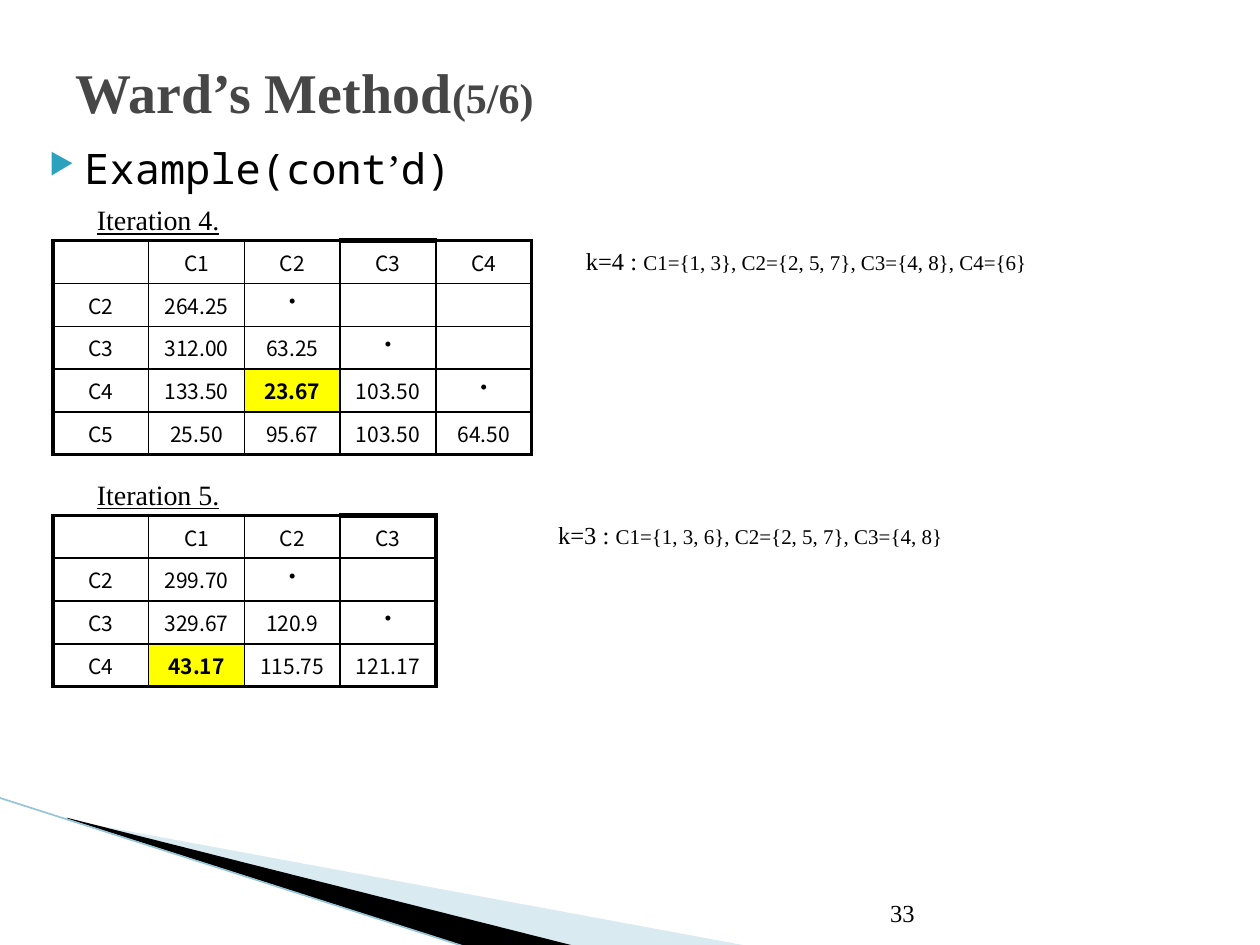
import pptx
import pptx.util
import pptx.dml.color
import pptx.enum.shapes
import pptx.enum.text
import pptx.oxml
import pptx.oxml.ns
from dataclasses import dataclass
from lxml import etree

Inches, Pt = pptx.util.Inches, pptx.util.Pt
ALIGN, ANCHOR = pptx.enum.text.PP_ALIGN, pptx.enum.text.MSO_ANCHOR
qn = pptx.oxml.ns.qn


@dataclass(frozen=True)
class Theme:
    serif: str = "Times New Roman"
    mono: str = "Noto Sans Mono"
    table: str = "Noto Sans CJK KR"
    black: str = "000000"
    title: str = "464646"
    accent: str = "2DA2BF"
    pale: str = "A0CBDC"
    line: str = "97C5D8"
    highlight: str = "FFFF00"
    title_size: int = 32
    heading_size: int = 24
    label_size: int = 16
    note_size: int = 14
    small_size: int = 12


T = Theme()


def rgb(value):
    return pptx.dml.color.RGBColor.from_string(value)


def add_run(p, text, size, font=T.serif, color=T.black, bold=False, underline=False):
    r = p.add_run()
    r.text = text
    r.font.name, r.font.size = font, Pt(size)
    r.font.bold, r.font.underline = bold, underline
    r.font.color.rgb = rgb(color)


def add_text(s, left, top, width, height, align=ALIGN.LEFT, anchor=ANCHOR.TOP):
    """Add a box without insets and return its first paragraph."""
    tf = s.shapes.add_textbox(Inches(left), Inches(top), Inches(width), Inches(height)).text_frame
    tf.word_wrap = True
    tf.vertical_anchor = anchor
    tf.margin_left = tf.margin_right = tf.margin_top = tf.margin_bottom = 0
    p = tf.paragraphs[0]
    p.alignment = align
    return p


def add_bullet(p, char, color, percent, indent, hanging):
    pPr = p._p.get_or_add_pPr()
    pPr.set("marL", str(Inches(indent)))
    pPr.set("indent", str(-Inches(hanging)))
    clr = etree.SubElement(pPr, qn("a:buClr"))
    etree.SubElement(clr, qn("a:srgbClr"), val=color)
    etree.SubElement(pPr, qn("a:buSzPct"), val=str(percent * 1000))
    etree.SubElement(pPr, qn("a:buChar"), char=char)


def add_wedge(s, points, color, opacity=None):
    pts = [(Inches(x), Inches(y)) for x, y in points]
    builder = s.shapes.build_freeform(*pts[0], scale=1.0)
    builder.add_line_segments(pts[1:], close=True)
    sp = builder.convert_to_shape()
    sp.shadow.inherit = False
    sp.fill.solid()
    sp.fill.fore_color.rgb = rgb(color)
    sp.line.fill.background()
    if opacity is not None:
        clr = sp.fill._xPr.find(".//" + qn("a:srgbClr"))
        etree.SubElement(clr, qn("a:alpha"), val=str(opacity * 1000))


def add_line(s, x1, y1, x2, y2, color, width):
    cx = s.shapes.add_connector(pptx.enum.shapes.MSO_CONNECTOR.STRAIGHT,
                                Inches(x1), Inches(y1), Inches(x2), Inches(y2))
    cx.line.color.rgb = rgb(color)
    cx.line.width = Pt(width)
    etree.SubElement(cx._element.spPr, qn("a:effectLst"))


def set_borders(cell, widths):
    tcPr = cell._tc.get_or_add_tcPr()
    for side in "LRTB":
        ln = etree.SubElement(tcPr, qn("a:ln" + side), w=str(Pt(widths[side])))
        fill = etree.SubElement(ln, qn("a:solidFill"))
        etree.SubElement(fill, qn("a:srgbClr"), val=T.black)


def add_distances(s, left, top, rows, minimum):
    """Add a distance table with a heavy frame and its minimum highlighted."""
    n_rows, n_cols = len(rows), len(rows[0])
    col_w, row_h = 0.76, 0.34
    frame = s.shapes.add_table(n_rows, n_cols, Inches(left), Inches(top),
                               Inches(col_w * n_cols), Inches(row_h * n_rows))
    table = frame.table
    table.first_row = table.horz_banding = False
    for col in table.columns:
        col.width = Inches(col_w)
    for i, row in enumerate(rows):
        table.rows[i].height = Inches(row_h)
        for j, text in enumerate(row):
            cell = table.cell(i, j)
            top_edge = 3 if j == 3 else 2.25
            set_borders(cell, {"L": 2.25 if j == 0 else 1,
                               "R": 2.25 if j == n_cols - 1 else 1,
                               "T": top_edge if i == 0 else 1,
                               "B": 2.25 if i == n_rows - 1 else 1})
            is_min = text == minimum
            if is_min:
                cell.fill.solid()
                cell.fill.fore_color.rgb = rgb(T.highlight)
            else:
                cell.fill.background()
            p = cell.text_frame.paragraphs[0]
            p.alignment = ALIGN.CENTER
            if text:
                add_run(p, text, T.small_size, T.serif if text == "•" else T.table, bold=is_min)
            else:
                # Keep empty cells from stretching their row
                etree.SubElement(p._p, qn("a:endParaRPr"), sz=str(T.small_size * 100))


def add_iteration(s, top, name, note_left, count, clusters, rows, minimum):
    add_run(add_text(s, 0.77, top, 3, 0.27), name, T.label_size, underline=True)
    p = add_text(s, note_left, top + 0.34, 5.2, 0.25)
    add_run(p, count, T.note_size)
    add_run(p, clusters, T.small_size)
    add_distances(s, 0.42, top + 0.3, rows, minimum)


def add_title(s, name, part):
    sp = s.shapes.title
    sp.left, sp.top, sp.width, sp.height = Inches(0.5), Inches(0.3), Inches(9), Inches(0.85)
    tf = sp.text_frame
    tf.auto_size = pptx.enum.text.MSO_AUTO_SIZE.NONE
    tf.vertical_anchor = ANCHOR.MIDDLE
    p = tf.paragraphs[0]
    p.alignment = ALIGN.LEFT
    add_run(p, name, T.title_size, color=T.title, bold=True)
    add_run(p, part, T.heading_size, color=T.title, bold=True)


def main():
    prs = pptx.Presentation()
    prs.slide_width, prs.slide_height = Inches(10), Inches(7.5)
    s = prs.slides.add_slide(prs.slide_layouts[5])

    # Corner decoration
    add_wedge(s, [(0.55, 6.51), (5.95, 7.51), (4.56, 7.51), (0.55, 6.5)], T.pale, 40)
    add_wedge(s, [(0.53, 6.49), (4.57, 7.51), (3.72, 7.52), (0.54, 6.5)], T.black)
    add_line(s, -0.01, 6.33, 3.71, 7.52, T.line, 0.95)

    # Title and heading
    add_title(s, "Ward’s Method", "(5/6)")
    p = add_text(s, 0.27, 1.13, 9.63, 0.45)
    add_bullet(p, "▶", T.accent, 68, 0.4, 0.28)
    for text, font in (("Example(cont", T.mono), ("’", T.serif), ("d)", T.mono)):
        add_run(p, text, T.heading_size, font)

    # Iterations
    add_iteration(s, 1.61, "Iteration 4.", 4.65, "k=4 : ",
                  "C1={1, 3}, C2={2, 5, 7}, C3={4, 8}, C4={6}",
                  [["", "C1", "C2", "C3", "C4"],
                   ["C2", "264.25", "•", "", ""],
                   ["C3", "312.00", "63.25", "•", ""],
                   ["C4", "133.50", "23.67", "103.50", "•"],
                   ["C5", "25.50", "95.67", "103.50", "64.50"]], "23.67")
    add_iteration(s, 3.79, "Iteration 5.", 4.43, "k=3 : ",
                  "C1={1, 3, 6}, C2={2, 5, 7}, C3={4, 8}",
                  [["", "C1", "C2", "C3"],
                   ["C2", "299.70", "•", ""],
                   ["C3", "329.67", "120.9", "•"],
                   ["C4", "43.17", "115.75", "121.17"]], "43.17")

    # Page number
    p = add_text(s, 4.89, 7.06, 2.37, 0.3, ALIGN.RIGHT, ANCHOR.BOTTOM)
    add_run(p, "33", T.note_size)

    prs.save("out.pptx")


if __name__ == "__main__":
    main()
